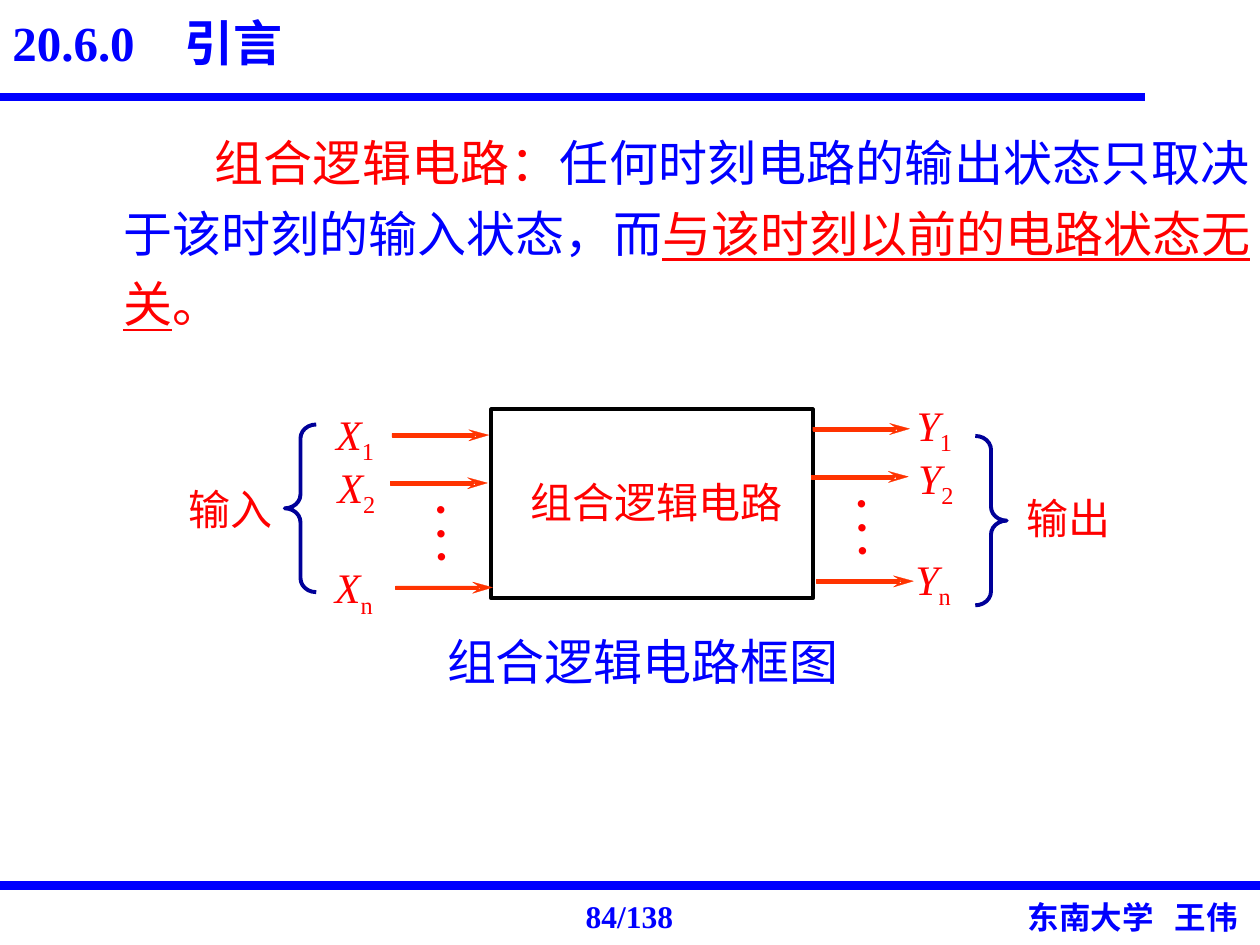
from pptx import Presentation
from pptx.dml.color import RGBColor
from pptx.enum.shapes import MSO_CONNECTOR, MSO_SHAPE
from pptx.enum.text import PP_ALIGN
from pptx.oxml.ns import qn
from pptx.util import Pt
from lxml.etree import SubElement

BLUE = RGBColor(0x00, 0x00, 0xFF)
RED = RGBColor(0xFF, 0x00, 0x00)
NAVY = RGBColor(0x00, 0x00, 0x99)
ORANGE = RGBColor(0xFF, 0x33, 0x00)
BLACK = RGBColor(0x00, 0x00, 0x00)
SERIF, SANS, DOTS = "Times New Roman", "Noto Sans CJK SC", "Lato"

# Formats of text
HEAD = {"size": Pt(28), "name": SERIF, "bold": True}
BODY = {"size": Pt(28), "name": SERIF}
LABEL = {"size": Pt(24), "name": SERIF}
VAR = {**LABEL, "italic": True}
FOOT = {"size": Pt(18), "name": SERIF, "bold": True}
DOT = {"size": Pt(28), "name": DOTS, "bold": True}

# Content: box (left, top, width, height), then runs (text, format, colour)
TITLE = (0, 7.2, 467.3, 59.8), [("20.6.0\t引言", HEAD, BLUE)]
AUTHOR = (580.3, 509.8, 139.7, 28.8), [
    ("东南大学\t王伟", {**FOOT, "name": SANS}, BLUE)]
INTRO = (63.4, 65.5, 658, 128.2), [
    ("组合逻辑电路：", BODY, RED),
    ("任何时刻电路的输出状态只取决于该时刻的输入状态，而", BODY, BLUE),
    ("与该时刻以前的电路状态无关", {**BODY, "underline": True}, RED),
    ("。", BODY, RED)]
LABELS = [
    ((327.6, 509, 68.4, 28.8), [("84/138", FOOT, BLUE)]),
    ((248.4, 357.1, 240.5, 41), [("组合逻辑电路框图", BODY, BLUE)]),
    ((295.9, 268.6, 159.8, 36), [("组合逻辑电路", LABEL, RED)]),
    ((100.8, 272.9, 63.4, 36), [("输入", LABEL, RED)]),
    ((579.6, 277.9, 63.4, 36), [("输出", LABEL, RED)]),
]
RULES = [(654.5, 55.4), (720, 506.2)]  # right end, height
FRAME = (280.8, 234, 183.6, 108)
BRACES = [(MSO_SHAPE.LEFT_BRACE, (162.7, 242.6, 18, 95.8)),
          (MSO_SHAPE.RIGHT_BRACE, (557.3, 249.1, 18, 96.8))]

# Signals on the input side; the output side is the same, moved
ROWS = [("1", (185, 229.7), (223.9, 245.5)),
        ("2", (185.8, 259.9), (223.2, 272.9)),
        ("n", (184.3, 317.5), (226.1, 332.6))]
GAP = (241.9, 290.9)
SIDES = [("X", (0, 0), (0, 0)),
         ("Y", (331.7, -5), (240.5, -3.6))]  # label shift, arrow shift
SHAFT = [(0, 2.2), (48.5, 2.2), (48.5, 4.3), (0, 4.3)]
TIP = [(48.5, 3.1), (44, 0), (55.4, 3.1), (44, 6.5)]

deck = Presentation()
deck.slide_width, deck.slide_height = Pt(720), Pt(540)
slide = deck.slides.add_slide(deck.slide_layouts[6])
shapes = slide.shapes


def write(box, runs, wrap=False):
    item = shapes.add_textbox(*map(Pt, box))
    frame = item.text_frame
    frame.word_wrap = wrap
    para = frame.paragraphs[0]
    for text, form, color in runs:
        run = para.add_run()
        run.text = text
        for key, val in form.items():
            setattr(run.font, key, val)
        run.font.color.rgb = color
        SubElement(run.font._element, qn("a:ea")).set("typeface", SANS)
    return item, para


def add_stop(para, pos):
    tabs = SubElement(para._p.get_or_add_pPr(), qn("a:tabLst"))
    stop = SubElement(tabs, qn("a:tab"))
    stop.set("pos", str(Pt(pos)))
    stop.set("algn", "l")


def outline(kind, box, color):
    item = shapes.add_shape(kind, *map(Pt, box))
    item.shadow.inherit = False
    item.fill.background()
    item.line.color.rgb = color
    item.line.width = Pt(2.25)
    return item


def shift(spot, move):
    return spot[0] + move[0], spot[1] + move[1]


def draw_arrow(spot):
    shaft, tip = ([tuple(map(Pt, shift(spot, point))) for point in part]
                  for part in (SHAFT, TIP))
    form = shapes.build_freeform(*shaft[0], scale=1.0)
    form.add_line_segments(shaft[1:], close=True)
    form.move_to(*tip[0])
    form.add_line_segments(tip[1:], close=True)
    item = form.convert_to_shape()
    item.shadow.inherit = False
    item.fill.solid()
    item.fill.fore_color.rgb = ORANGE
    item.line.color.rgb = ORANGE
    item.line.width = Pt(0.13)


# Rules above and below the content
for end, y in RULES:
    rule = shapes.add_connector(MSO_CONNECTOR.STRAIGHT, 0, Pt(y), Pt(end), Pt(y))
    rule.line.color.rgb = BLUE
    rule.line.width = Pt(5)
    SubElement(rule._element.spPr, qn("a:effectLst"))

# Title, author and definition
para = write(*TITLE, wrap=True)[1]
para.line_spacing = 0.9
add_stop(para, 98.5)
add_stop(write(*AUTHOR, wrap=True)[1], 84)
para = write(*INTRO, wrap=True)[1]
para.alignment = PP_ALIGN.JUSTIFY
para.line_spacing = 1.2
para._p.get_or_add_pPr().set("indent", str(Pt(52)))

# Block, braces and labels
outline(MSO_SHAPE.RECTANGLE, FRAME, BLACK)
for kind, box in BRACES:
    outline(kind, box, NAVY).adjustments[0] = 0.44
for box, runs in LABELS:
    write(box, runs)

# Signals with arrows and dots
for name, near, far in SIDES:
    for sub, spot, start in ROWS:
        para = write((*shift(spot, near), 37.4, 36),
                     [(name, VAR, RED), (sub, LABEL, RED)])[1]
        para.runs[1].font._element.set("baseline", "-25000")
        draw_arrow(shift(start, far))
    dots = write((*shift(GAP, far), 38.9, 33.8), [(". . .", DOT, RED)])[0]
    dots.rotation = 89
    for side in ("left", "top", "right", "bottom"):
        setattr(dots.text_frame, "margin_" + side, 0)

deck.save("out.pptx")
